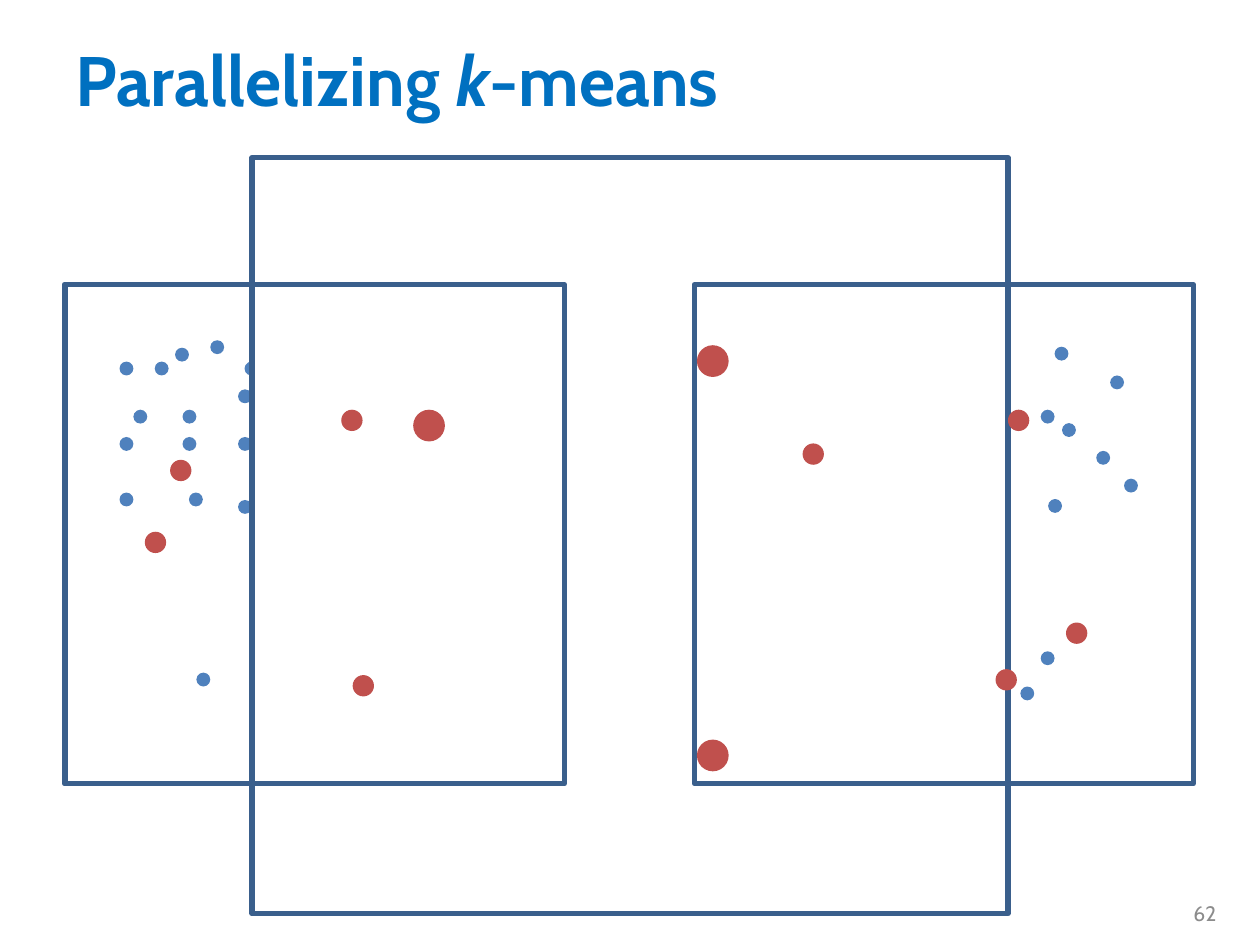
from dataclasses import dataclass

from pptx import Presentation
from pptx.dml.color import RGBColor
from pptx.enum.shapes import MSO_SHAPE
from pptx.enum.text import MSO_ANCHOR, PP_ALIGN
from pptx.util import Cm, Pt

OVAL, RECTANGLE = MSO_SHAPE.OVAL, MSO_SHAPE.RECTANGLE
MIDDLE = MSO_ANCHOR.MIDDLE
LEFT, RIGHT = PP_ALIGN.LEFT, PP_ALIGN.RIGHT

FONT = "Cabin"
BLUE = RGBColor(0x4F, 0x81, 0xBD)
RED = RGBColor(0xC0, 0x50, 0x4D)
OUTLINE = RGBColor(0x3A, 0x5F, 0x8C)
TITLE_BLUE = RGBColor(0x00, 0x70, 0xC0)
GREY = RGBColor(0x8C, 0x8C, 0x8C)
WHITE = RGBColor(0xFF, 0xFF, 0xFF)

Point = tuple[float, float]


@dataclass(frozen=True)
class DotStyle:
    diameter: float
    color: RGBColor


@dataclass(frozen=True)
class Frame:
    left: float
    top: float
    side: float
    fill: RGBColor | None = None


@dataclass(frozen=True)
class TextRun:
    text: str
    italic: bool = False


@dataclass(frozen=True)
class Label:
    left: float
    top: float
    width: float
    height: float
    runs: tuple[TextRun, ...]
    size: int
    color: RGBColor
    bold: bool = False
    alignment: PP_ALIGN = LEFT


DATA_POINT = DotStyle(0.28, BLUE)
CENTROID = DotStyle(0.43, RED)
MERGED_CENTROID = DotStyle(0.64, RED)

LEFT_POINTS = [
    (4.24, 6.86), (3.53, 7.01), (3.12, 7.29), (4.93, 7.29), (2.41, 7.29),
    (3.68, 8.26), (4.8, 7.85), (2.69, 8.26), (4.8, 8.81), (2.41, 8.81),
    (3.68, 8.81), (2.41, 9.93), (3.81, 9.93), (4.8, 10.08), (3.96, 13.56),
]
RIGHT_POINTS = [
    (22.1, 9.09), (20.98, 8.26), (21.26, 6.99), (21.13, 10.06), (22.38, 7.57),
    (21.41, 8.53), (22.66, 9.65), (20.57, 13.84), (20.98, 13.13),
]
OUTER_CENTROIDS = [(2.92, 10.72), (21.49, 12.55)]
RIGHT_CENTROIDS = [(16.18, 8.94), (20.07, 13.49), (20.32, 8.26)]
LEFT_CENTROIDS = [(3.43, 9.27), (6.88, 8.26), (7.11, 13.61)]
MERGED_CENTROIDS = [(8.33, 8.26), (14.05, 6.96), (14.05, 14.91)]

WORKER_TOP, WORKER_SIDE = 5.74, 10.06
LEFT_DATA = Frame(1.3, WORKER_TOP, WORKER_SIDE)
LEFT_WORKER = Frame(1.32, WORKER_TOP, WORKER_SIDE)
RIGHT_WORKER = Frame(14, WORKER_TOP, WORKER_SIDE)
MASTER = Frame(5.08, 3.18, 15.24, WHITE)

TITLE = Label(
    1.27, 0, 22.86, 3.18,
    (TextRun("Parallelizing "), TextRun("k", italic=True), TextRun("-means")),
    40, TITLE_BLUE, bold=True,
)
PAGE_NUMBER = Label(
    18.85, 17.9, 5.92, 1.02, (TextRun("62"),), 12, GREY, alignment=RIGHT
)


def add_dots(slide, points: list[Point], style: DotStyle) -> None:
    for left, top in points:
        dot = slide.shapes.add_shape(
            OVAL, Cm(left), Cm(top), Cm(style.diameter), Cm(style.diameter)
        )
        dot.shadow.inherit = False
        dot.fill.solid()
        dot.fill.fore_color.rgb = style.color
        dot.line.fill.background()


def add_frame(slide, frame: Frame) -> None:
    shape = slide.shapes.add_shape(
        RECTANGLE, Cm(frame.left), Cm(frame.top), Cm(frame.side), Cm(frame.side)
    )
    shape.shadow.inherit = False
    if frame.fill is None:
        shape.fill.background()
    else:
        shape.fill.solid()
        shape.fill.fore_color.rgb = frame.fill
    shape.line.color.rgb = OUTLINE
    shape.line.width = Pt(3)


def add_label(slide, label: Label) -> None:
    box = slide.shapes.add_textbox(
        Cm(label.left), Cm(label.top), Cm(label.width), Cm(label.height)
    )
    text_frame = box.text_frame
    text_frame.word_wrap = True
    text_frame.vertical_anchor = MIDDLE
    paragraph = text_frame.paragraphs[0]
    paragraph.alignment = label.alignment
    for part in label.runs:
        run = paragraph.add_run()
        run.text = part.text
        run.font.name = FONT
        run.font.size = Pt(label.size)
        run.font.bold = label.bold
        run.font.italic = part.italic
        run.font.color.rgb = label.color


def main() -> None:
    presentation = Presentation()
    presentation.slide_width = Cm(25.4)
    presentation.slide_height = Cm(19.05)
    slide = presentation.slides.add_slide(presentation.slide_layouts[6])

    add_dots(slide, LEFT_POINTS, DATA_POINT)
    add_frame(slide, LEFT_DATA)
    add_label(slide, TITLE)
    add_dots(slide, RIGHT_POINTS, DATA_POINT)
    add_dots(slide, OUTER_CENTROIDS, CENTROID)

    # The filled master frame covers the inner edge of the left points.
    add_frame(slide, MASTER)
    add_dots(slide, RIGHT_CENTROIDS, CENTROID)
    add_frame(slide, RIGHT_WORKER)
    add_dots(slide, LEFT_CENTROIDS, CENTROID)
    add_frame(slide, LEFT_WORKER)
    add_dots(slide, MERGED_CENTROIDS, MERGED_CENTROID)
    add_label(slide, PAGE_NUMBER)

    presentation.save("out.pptx")


if __name__ == "__main__":
    main()
